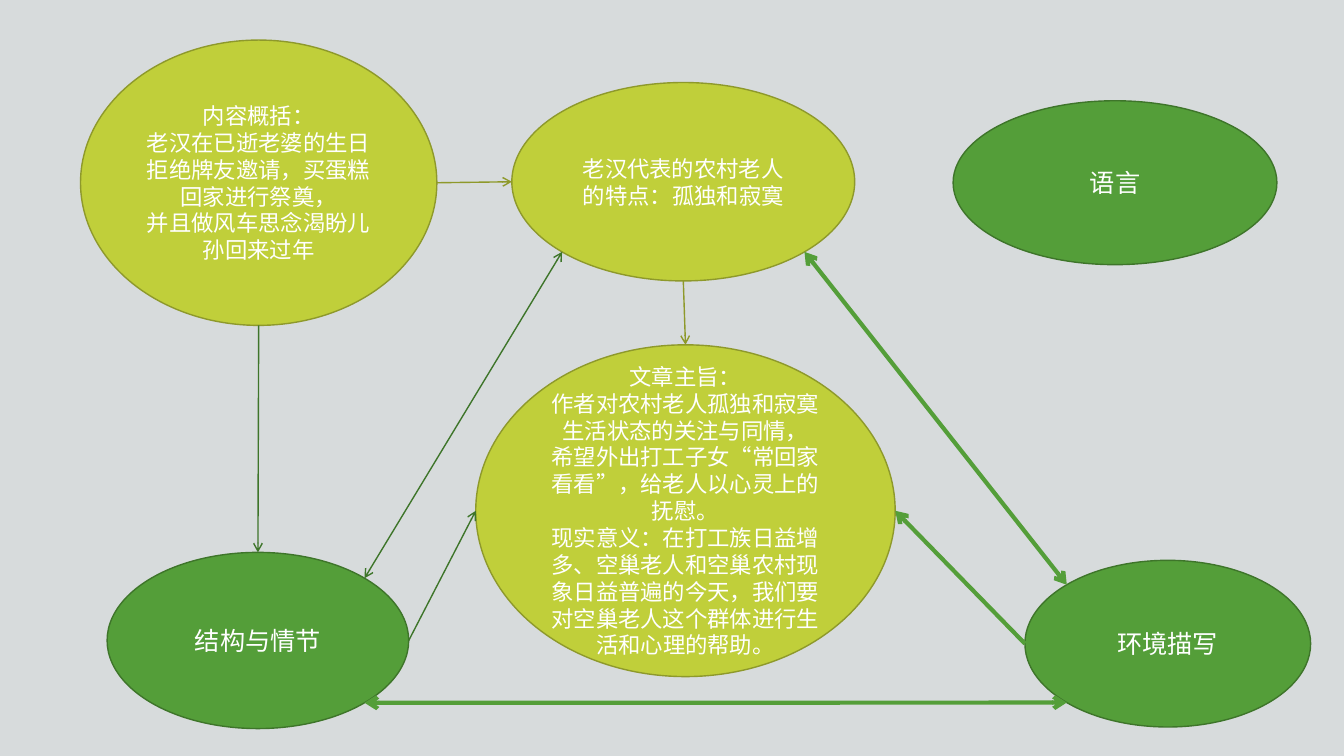
from math import sqrt

from lxml.etree import SubElement
from pptx import Presentation
from pptx.dml.color import RGBColor
from pptx.enum.lang import MSO_LANGUAGE_ID as Language
from pptx.enum.shapes import MSO_CONNECTOR as Connector, MSO_SHAPE as Shape
from pptx.enum.text import MSO_ANCHOR as Anchor, PP_ALIGN as Align
from pptx.oxml.ns import qn
from pptx.util import Cm, Pt

LATIN, CJK = "Arial Narrow", "Noto Sans CJK SC"
LIME, LIME_EDGE = "C0CF3A", "8E992B"
GREEN, GREEN_EDGE = "549E39", "3E752A"
WHITE, GREY = "FFFFFF", "D7DBDC"

SIDES = {"top": (0, -1), "bottom": (0, 1), "left": (-1, 0), "right": (1, 0),
         "top right": (1, -1), "bottom left": (-1, 1), "bottom right": (1, 1)}


def paint(fill, color):
    fill.solid()
    fill.fore_color.rgb = RGBColor.from_string(color)


def rim_point(oval, side):
    """Point on the oval's outline, at a side or halfway between two sides."""
    across, down = SIDES[side]
    reach = 1 / sqrt(across ** 2 + down ** 2)
    return (round(oval.left + oval.width / 2 * (1 + across * reach)),
            round(oval.top + oval.height / 2 * (1 + down * reach)))


class MindMap:
    def __init__(self, deck):
        self.page = deck.slides.add_slide(deck.slide_layouts[6])
        paint(self.page.background.fill, GREY)

    def oval(self, place, fill, edge, size, paragraphs):
        oval = self.page.shapes.add_shape(Shape.OVAL, *map(Cm, place))
        oval.shadow.inherit = False
        paint(oval.fill, fill)
        paint(oval.line.fill, edge)
        oval.line.width = Pt(1)
        frame = oval.text_frame
        frame.word_wrap = True
        frame.vertical_anchor = Anchor.MIDDLE
        for index, runs in enumerate(paragraphs):
            para = frame.add_paragraph() if index else frame.paragraphs[0]
            para.alignment = Align.CENTER
            for text, font_name in runs:
                self.span(para, text, font_name, size)
        return oval

    def span(self, para, text, font_name, size):
        span = para.add_run()
        span.text = text
        span.font.size = Pt(size)
        span.font.name = font_name
        span.font.language_id = Language.SIMPLIFIED_CHINESE
        paint(span.font.fill, WHITE)
        SubElement(span.font._element, qn("a:ea"), typeface=CJK)

    def arrow(self, start, end, color, width, both_ways=False):
        arrow = self.page.shapes.add_connector(
            Connector.STRAIGHT, *rim_point(*start), *rim_point(*end))
        paint(arrow.line.fill, color)
        arrow.line.width = Pt(width)
        line = arrow.line._get_or_add_ln()
        for tag in ["a:headEnd", "a:tailEnd"] if both_ways else ["a:tailEnd"]:
            SubElement(line, qn(tag), type="arrow")
        SubElement(arrow._element.spPr, qn("a:effectLst"))

    def idea(self, place, *paragraphs):
        return self.oval(place, LIME, LIME_EDGE, 16, paragraphs)

    def aspect(self, place, text):
        return self.oval(place, GREEN, GREEN_EDGE, 18, [[(text, LATIN)]])


def main():
    deck = Presentation()
    deck.slide_width, deck.slide_height = Cm(33.87), Cm(19.05)
    mind_map = MindMap(deck)

    theme = mind_map.idea(
        (11.99, 8.69, 10.57, 8.36),
        [("文章主旨：", LATIN)],
        [("作者对农村老人孤独和寂寞生活状态的关注与同情，", LATIN)],
        [("希望外出打工子女“常回家看看”，给老人以心灵上的抚慰。", LATIN)],
        [("现实意义：在打工族日益增多、空巢老人和空巢农村现象日益普遍的今天，"
          "我们要对空巢老人这个群体进行生活和心理的帮助。", LATIN)])
    traits = mind_map.idea(
        (12.9, 2.08, 8.64, 5),
        [("老汉代表的农村老人的特点：", CJK), ("孤独和寂寞", LATIN)])
    summary = mind_map.idea(
        (2.03, 1.01, 8.98, 7.19),
        [("内容概括：", LATIN)],
        [("老汉在已逝老婆的生日拒绝牌友邀请，买蛋糕回家进行祭奠，", LATIN)],
        [("并且做风车思念渴盼儿孙回来过年", LATIN)])
    setting = mind_map.aspect((25.83, 14.12, 7.2, 4.2), "环境描写")
    mind_map.aspect((24.02, 2.54, 8.16, 4.13), "语言")
    plot = mind_map.aspect((2.7, 13.92, 7.6, 4.44), "结构与情节")

    mind_map.arrow((summary, "right"), (traits, "left"), LIME_EDGE, 1)
    mind_map.arrow((traits, "bottom"), (theme, "top"), LIME_EDGE, 1)
    mind_map.arrow((summary, "bottom"), (plot, "top"), GREEN_EDGE, 1)
    mind_map.arrow((plot, "right"), (theme, "left"), GREEN_EDGE, 1)
    mind_map.arrow((traits, "bottom left"), (plot, "top right"), GREEN_EDGE, 1, True)
    mind_map.arrow((setting, "left"), (theme, "right"), GREEN, 3)
    # SIDES names the upper left rim of the setting oval only here
    SIDES["top left"] = (-1, -1)
    mind_map.arrow((traits, "bottom right"), (setting, "top left"), GREEN, 3, True)
    mind_map.arrow((setting, "bottom left"), (plot, "bottom right"), GREEN, 3, True)

    deck.save("out.pptx")


if __name__ == "__main__":
    main()
